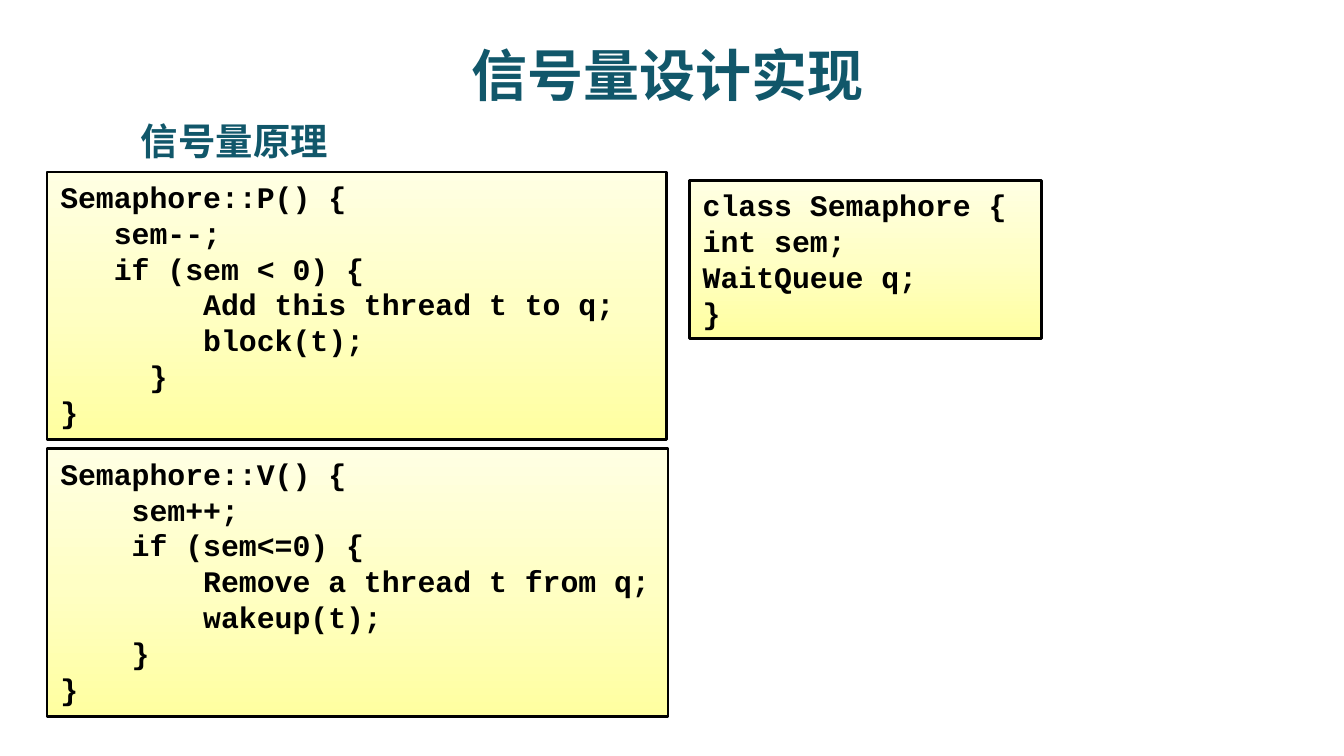
from copy import deepcopy

from pptx import Presentation
from pptx.dml.color import RGBColor
from pptx.enum.shapes import MSO_SHAPE
from pptx.enum.text import MSO_ANCHOR, MSO_AUTO_SIZE, PP_ALIGN
from pptx.oxml.ns import qn
from pptx.util import Inches, Pt

COLORS = {
    "heading": "11576A",
    "code": "000000",
    "border": "000000",
    "bottom": "FFFFA0",
    "middle": "FFFFC5",
    "top": "FFFFE3",
}
CELL = 0.1

P_CODE = """Semaphore::P() {
   sem--;
   if (sem < 0) {
        Add this thread t to q;
        block(t);
     }
}"""
V_CODE = """Semaphore::V() {
    sem++;
    if (sem<=0) {
        Remove a thread t from q;
        wakeup(t);
    }
}"""
CLASS_CODE = """class Semaphore {
int sem;
WaitQueue q;
}"""


def rgb(name):
    return RGBColor.from_string(COLORS[name])


def write(tf, text, *, size, font, color, align=PP_ALIGN.LEFT):
    for i, line in enumerate(text.split("\n")):
        p = tf.paragraphs[0] if i == 0 else tf.add_paragraph()
        p.alignment = align
        r = p.add_run()
        r.text = line
        r.font.size = Pt(size)
        r.font.bold = True
        r.font.name = font
        r.font.color.rgb = rgb(color)
        r.font._element.find(qn("a:latin")).addnext(
            r.font._element.makeelement(qn("a:ea"), {"typeface": font}))


class SlideBuilder:
    def __init__(self, prs):
        self.s = prs.slides.add_slide(prs.slide_layouts[5])

    def place(self, col, row, cols, rows):
        return [Inches(n * CELL) for n in (col, row, cols, rows)]

    def title(self, text, *cells):
        sp = self.s.shapes.title
        sp.left, sp.top, sp.width, sp.height = self.place(*cells)
        tf = sp.text_frame
        tf.auto_size = MSO_AUTO_SIZE.NONE
        tf.vertical_anchor = MSO_ANCHOR.MIDDLE
        tf.margin_top, tf.margin_bottom = Inches(0.07), Inches(0.03)
        write(tf, text, size=30, font="Noto Sans CJK SC", color="heading",
              align=PP_ALIGN.CENTER)

    def subtitle(self, text, *cells):
        tf = self.s.shapes.add_textbox(*self.place(*cells)).text_frame
        tf.word_wrap = False
        tf.auto_size = MSO_AUTO_SIZE.SHAPE_TO_FIT_TEXT
        write(tf, text, size=20, font="Noto Sans CJK JP", color="heading")

    def code(self, text, *cells):
        sp = self.s.shapes.add_shape(MSO_SHAPE.RECTANGLE, *self.place(*cells))
        sp.shadow.inherit = False
        self.shade(sp)
        sp.line.color.rgb = rgb("border")
        sp.line.width = Pt(1.5)
        tf = sp.text_frame
        tf.word_wrap = True
        tf.auto_size = MSO_AUTO_SIZE.SHAPE_TO_FIT_TEXT
        tf.vertical_anchor = MSO_ANCHOR.TOP
        write(tf, text, size=16, font="Courier New", color="code")

    def shade(self, sp):
        sp.fill.gradient()
        sp.fill.gradient_angle = 90
        first = next(sp._element.spPr.iter(qn("a:gs")))
        first.addnext(deepcopy(first))
        names = ("bottom", "middle", "top")
        for i, (stop, name) in enumerate(zip(sp.fill.gradient_stops, names)):
            stop.position = i / 2
            stop.color.rgb = rgb(name)


def main():
    prs = Presentation()
    prs.slide_width = Inches(10)
    prs.slide_height = prs.slide_width * 9 // 16
    slide = SlideBuilder(prs)
    slide.title("信号量设计实现", 4.7, 2.5, 90, 5.6)
    slide.code(P_CODE, 3.5, 12.8, 46.1, 19.9)
    slide.code(V_CODE, 3.5, 33.4, 46.2, 19.9)
    slide.code(CLASS_CODE, 51.3, 13.4, 26.2, 11.8)
    slide.subtitle("信号量原理", 9.5, 8.3, 16, 4.4)
    prs.save("out.pptx")


if __name__ == "__main__":
    main()
